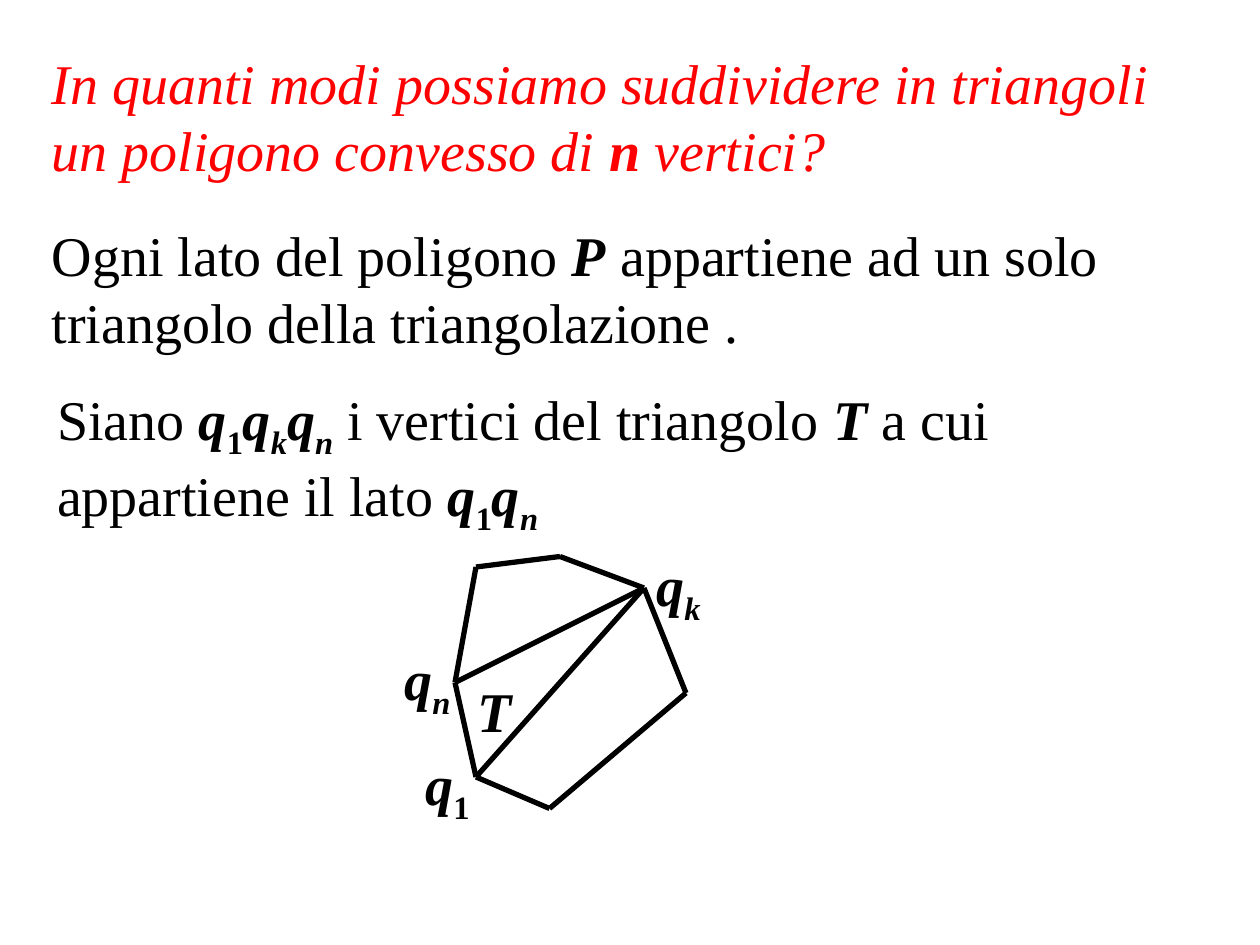
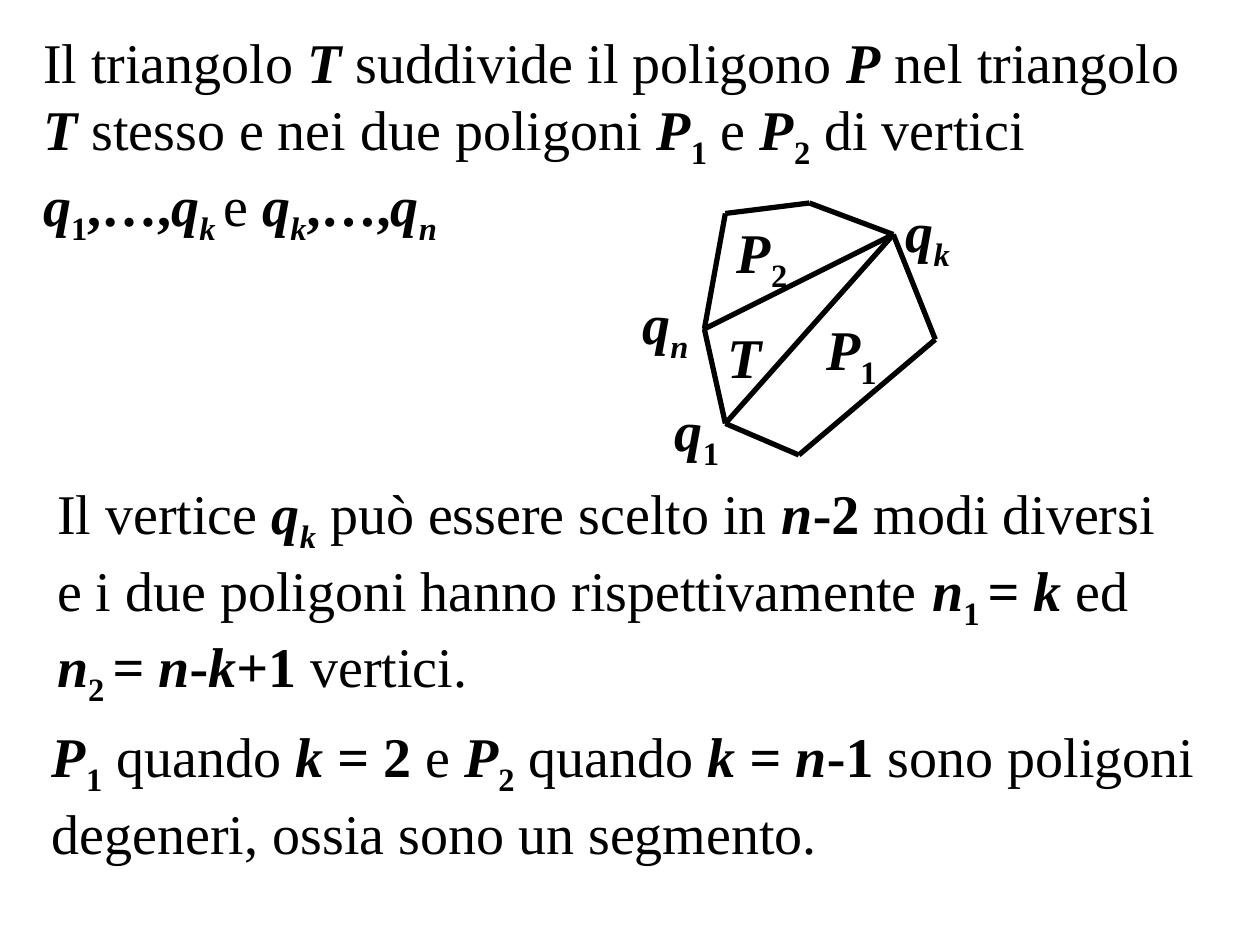
from lxml.etree import SubElement
from pptx import Presentation
from pptx.dml.color import RGBColor
from pptx.enum.shapes import MSO_CONNECTOR
from pptx.enum.text import MSO_AUTO_SIZE
from pptx.oxml.ns import qn
from pptx.util import Pt

FONT, SIZE = "Times New Roman", 32
COLORS = {"question": "FF0000", "text": "000000", "line": "000000"}

# Runs are (text, style): b = bold, i = italic, s = subscript
P, T = ("P", "bi"), ("T", "bi")
Q, N = ("q", "bi"), ("n", "bi")
ONE, TWO = ("1", "bs"), ("2", "bs")
Q1, QK, QN = [Q, ONE], [Q, ("k", "bis")], [Q, ("n", "bis")]
P1, P2 = [P, ONE], [P, TWO]

# Polygon vertices in drawing order, relative to the figure's origin
VERTICES = {
    "q1": (12, 126), "qn": (0, 72), "top left": (12, 6), "top": (60, 0),
    "qk": (108, 18), "right": (132, 78), "bottom": (54, 144),
}
DIAGONALS = [("qk", "q1"), ("qk", "qn")]

# Labels: runs, left, top, width, relative to the same origin
SHARED_LABELS = [(Q1, -24, 106.5, 41.5), (QK, 108, -7, 41.5), ([T], 6, 65, 34.5)]
LABEL_HEIGHT = 46

# Paragraphs: runs, colour, left, top, width, height
SLIDES = [
    {
        "paragraphs": [
            ([("In quanti modi possiamo suddividere in triangoli un poligono convesso di ", "i"),
              N, (" vertici?", "i")], "question", 22.5, 24, 675, 85),
            ([("Ogni lato del poligono ", ""), P,
              (" appartiene ad un solo triangolo della triangolazione .", "")],
             "text", 22.5, 122.5, 672, 85),
            ([("Siano ", ""), *Q1, *QK, *QN, (" i vertici del triangolo ", ""), T,
              (" a cui appartiene il lato ", ""), *Q1, *QN], "text", 25.5, 216, 636, 85),
        ],
        "origin": (260, 318),
        "labels": [(QN, -36, 47, 42.5)],
    },
    {
        "paragraphs": [
            ([("Il triangolo ", ""), T, (" suddivide il poligono ", ""), P,
              (" nel triangolo ", ""), ("T ", "bi"), ("stesso e nei due poligoni ", ""),
              *P1, (" e ", ""), *P2, (" di vertici ", ""), *Q1, (",…,", "b"),
              Q, ("k ", "bis"), ("e ", ""), *QK, (",…,", "b"), *QN],
             "text", 17.5, 12, 675, 124),
            ([("Il vertice ", ""), *QK, (" può essere scelto in ", ""), N, ("-2", "b"),
              (" modi diversi e i due poligoni hanno rispettivamente ", ""),
              N, ("1 ", "bs"), ("= ", "b"), ("k ", "bi"), ("ed ", ""),
              N, ("2 ", "bs"), ("= ", "b"), N, ("-", "b"), ("k", "bi"), ("+1 ", "b"),
              ("vertici.", "")], "text", 25.5, 270, 658, 124),
            ([*P1, (" quando ", ""), ("k ", "bi"), ("= 2 ", "b"), ("e ", ""), *P2,
              (" quando ", ""), ("k = n", "bi"), ("-1 ", "b"),
              ("sono poligoni degeneri, ossia sono un segmento.", "")],
             "text", 22.5, 409, 675, 85),
        ],
        "origin": (402.5, 116),
        "labels": [(QN, -42.5, 45.5, 42.5), (P1, 62.5, 60, 44.5), (P2, 11.5, 4.5, 44.5)],
    },
]


def add_text(s, runs, color, left, top, width, height, wrap=True):
    tf = s.shapes.add_textbox(Pt(left), Pt(top), Pt(width), Pt(height)).text_frame
    tf.word_wrap = wrap
    tf.auto_size = MSO_AUTO_SIZE.SHAPE_TO_FIT_TEXT
    p = tf.paragraphs[0]
    for text, style in runs:
        r = p.add_run()
        r.text = text
        r.font.name, r.font.size = FONT, Pt(SIZE)
        r.font.bold, r.font.italic = "b" in style, "i" in style
        r.font.color.rgb = RGBColor.from_string(COLORS[color])
        if "s" in style:
            r.font._element.set("baseline", "-25000")


def add_line(s, start, end):
    line = s.shapes.add_connector(MSO_CONNECTOR.STRAIGHT, *map(Pt, start + end))
    line.line.color.rgb = RGBColor.from_string(COLORS["line"])
    line.line.width = Pt(3)
    SubElement(line._element.spPr, qn("a:effectLst"))


def add_polygon(s, origin, labels):
    x, y = origin
    points = {name: (x + dx, y + dy) for name, (dx, dy) in VERTICES.items()}
    names = list(points)
    sides = list(zip(names, names[1:] + names[:1]))
    for start, end in sides + DIAGONALS:
        add_line(s, points[start], points[end])
    for runs, dx, dy, width in labels:
        add_text(s, runs, "text", x + dx, y + dy, width, LABEL_HEIGHT, wrap=False)


def main():
    prs = Presentation()
    prs.slide_width, prs.slide_height = Pt(720), Pt(540)
    for content in SLIDES:
        s = prs.slides.add_slide(prs.slide_layouts[6])
        add_polygon(s, content["origin"], SHARED_LABELS + content["labels"])
        for paragraph in content["paragraphs"]:
            add_text(s, *paragraph)
    prs.save("out.pptx")


if __name__ == "__main__":
    main()
